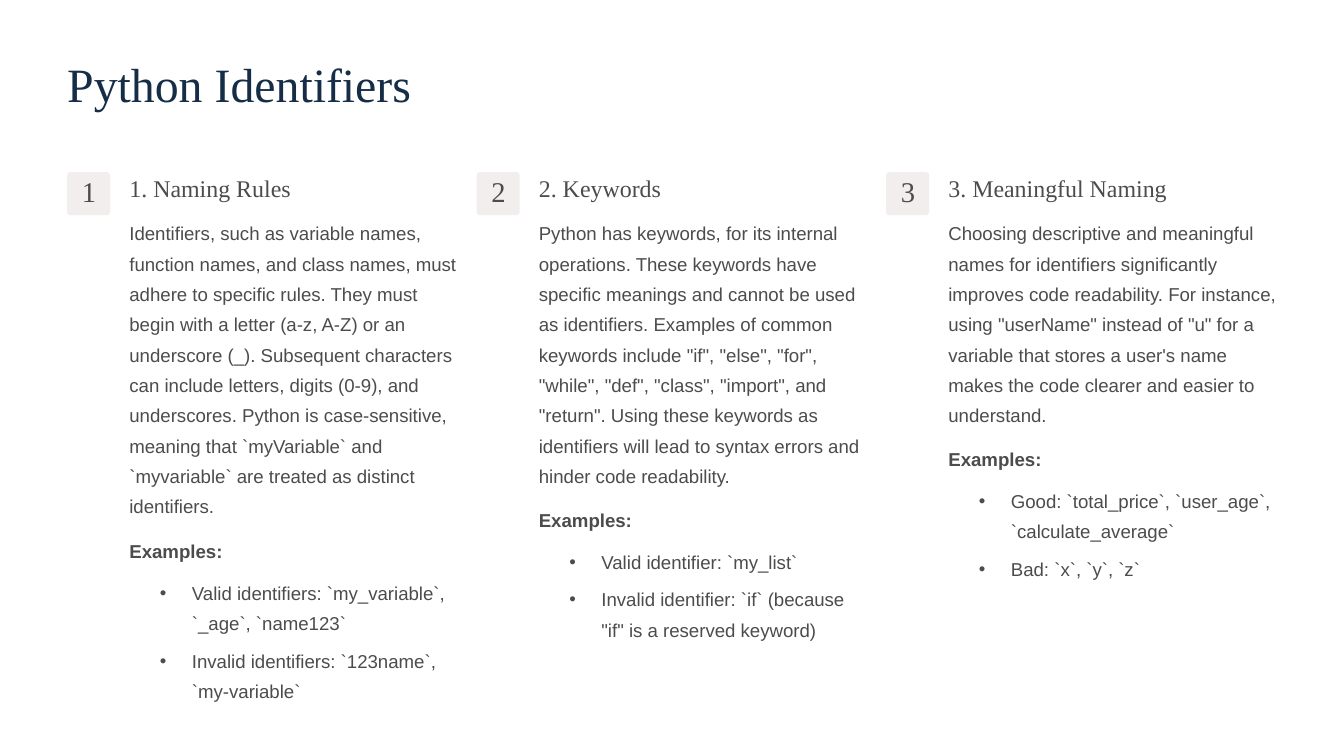
from lxml import etree
from pptx import Presentation
from pptx.dml.color import RGBColor
from pptx.enum.shapes import MSO_SHAPE
from pptx.enum.text import PP_ALIGN
from pptx.oxml.ns import qn
from pptx.util import Inches, Pt

ROUND = MSO_SHAPE.ROUNDED_RECTANGLE
LEFT, CENTER = PP_ALIGN.LEFT, PP_ALIGN.CENTER

TITLE = "Python Identifiers"
LABEL = "Examples:"
# heading, body, body line count, [(example, line count)]
TOPICS = [
    ("1. Naming Rules",
     "Identifiers, such as variable names, function names, and class names, "
     "must adhere to specific rules. They must begin with a letter (a-z, A-Z) "
     "or an underscore (_). Subsequent characters can include letters, digits "
     "(0-9), and underscores. Python is case-sensitive, meaning that "
     "`myVariable` and `myvariable` are treated as distinct identifiers.", 10,
     [("Valid identifiers: `my_variable`, `_age`, `name123`", 2),
      ("Invalid identifiers: `123name`, `my-variable`", 2)]),
    ("2. Keywords",
     "Python has keywords, for its internal operations. These keywords have "
     "specific meanings and cannot be used as identifiers. Examples of common "
     'keywords include "if", "else", "for", "while", "def", "class", "import", '
     'and "return". Using these keywords as identifiers will lead to syntax '
     "errors and hinder code readability.", 9,
     [("Valid identifier: `my_list`", 1),
      ('Invalid identifier: `if` (because "if" is a reserved keyword)', 2)]),
    ("3. Meaningful Naming",
     "Choosing descriptive and meaningful names for identifiers significantly "
     'improves code readability. For instance, using "userName" instead of "u" '
     "for a variable that stores a user's name makes the code clearer and "
     "easier to understand.", 7,
     [("Good: `total_price`, `user_age`, `calculate_average`", 2),
      ("Bad: `x`, `y`, `z`", 1)]),
]

SERIF, SANS = "Times New Roman", "Arial"
INK, NAVY = RGBColor(0x4C, 0x4C, 0x4D), RGBColor(0x15, 0x2D, 0x47)
THEME = {
    "paper": RGBColor(0xFF, 0xFF, 0xFF),
    "badge": RGBColor(0xF2, 0xEE, 0xEE),
    # font, size, line spacing, colour, bold
    "title": (SERIF, 41, 51, NAVY, False),
    "digit": (SERIF, 24.5, 24.5, INK, False),
    "head": (SERIF, 20.5, 25.5, INK, False),
    "body": (SANS, 16, 26, INK, False),
    "label": (SANS, 16, 26, INK, True),
}

EDGE, TOP, STEP = 0.8, 2.05, 4.875
BADGE, DIGIT = 0.51, 0.16
SHIFT, WIDE = 0.74, 3.91      # text column, from the badge's left side
LINE, INDENT, HANG = 0.365, 0.365, 0.38


def write(slide, text, style, x, y, w, h, align=LEFT, wrap=True):
    box = slide.shapes.add_textbox(Inches(x), Inches(y), Inches(w), Inches(h))
    frame = box.text_frame
    frame.margin_left = frame.margin_right = 0
    frame.margin_top = frame.margin_bottom = 0
    frame.word_wrap = wrap
    frame.text = text
    para = frame.paragraphs[0]
    para.alignment = align
    font = para.runs[0].font
    font.name, size, space, font.color.rgb, font.bold = THEME[style]
    font.size, para.line_spacing = Pt(size), Pt(space)
    return para


def bullet(para):
    props = para._p.get_or_add_pPr()
    props.set("marL", str(Inches(HANG)))
    props.set("indent", str(-Inches(HANG)))
    etree.SubElement(props, qn("a:buFont")).set("typeface", SANS)
    etree.SubElement(props, qn("a:buChar")).set("char", "•")


def add_badge(slide, num, x):
    tile = slide.shapes.add_shape(
        ROUND, Inches(x), Inches(TOP), Inches(BADGE), Inches(BADGE))
    tile.adjustments[0] = 0.067
    tile.shadow.inherit = False
    tile.fill.solid()
    tile.fill.fore_color.rgb = THEME["badge"]
    tile.line.fill.background()
    write(slide, str(num), "digit", x + (BADGE - DIGIT) / 2, TOP + 0.09,
          DIGIT, 0.34, CENTER, wrap=False)


def add_topic(slide, num, x, head, body, lines, items):
    add_badge(slide, num, x)
    left = x + SHIFT
    write(slide, head, "head", left, TOP, 2.85, 0.36)
    y = TOP + 0.5
    write(slide, body, "body", left, y, WIDE, lines * LINE)
    y += lines * LINE + 0.13
    write(slide, LABEL, "label", left, y, WIDE, LINE)
    y += 0.5
    for text, rows in items:
        bullet(write(slide, text, "body", left + INDENT, y,
                     WIDE - INDENT, rows * LINE))
        y += rows * LINE + 0.08


def main():
    deck = Presentation()
    deck.slide_width, deck.slide_height = Inches(16), Inches(9)
    slide = deck.slides.add_slide(deck.slide_layouts[6])
    slide.background.fill.solid()
    slide.background.fill.fore_color.rgb = THEME["paper"]
    write(slide, TITLE, "title", EDGE, 0.63, 5.7, 0.71)
    for i, topic in enumerate(TOPICS):
        add_topic(slide, i + 1, EDGE + i * STEP, *topic)
    deck.save("out.pptx")


if __name__ == "__main__":
    main()
